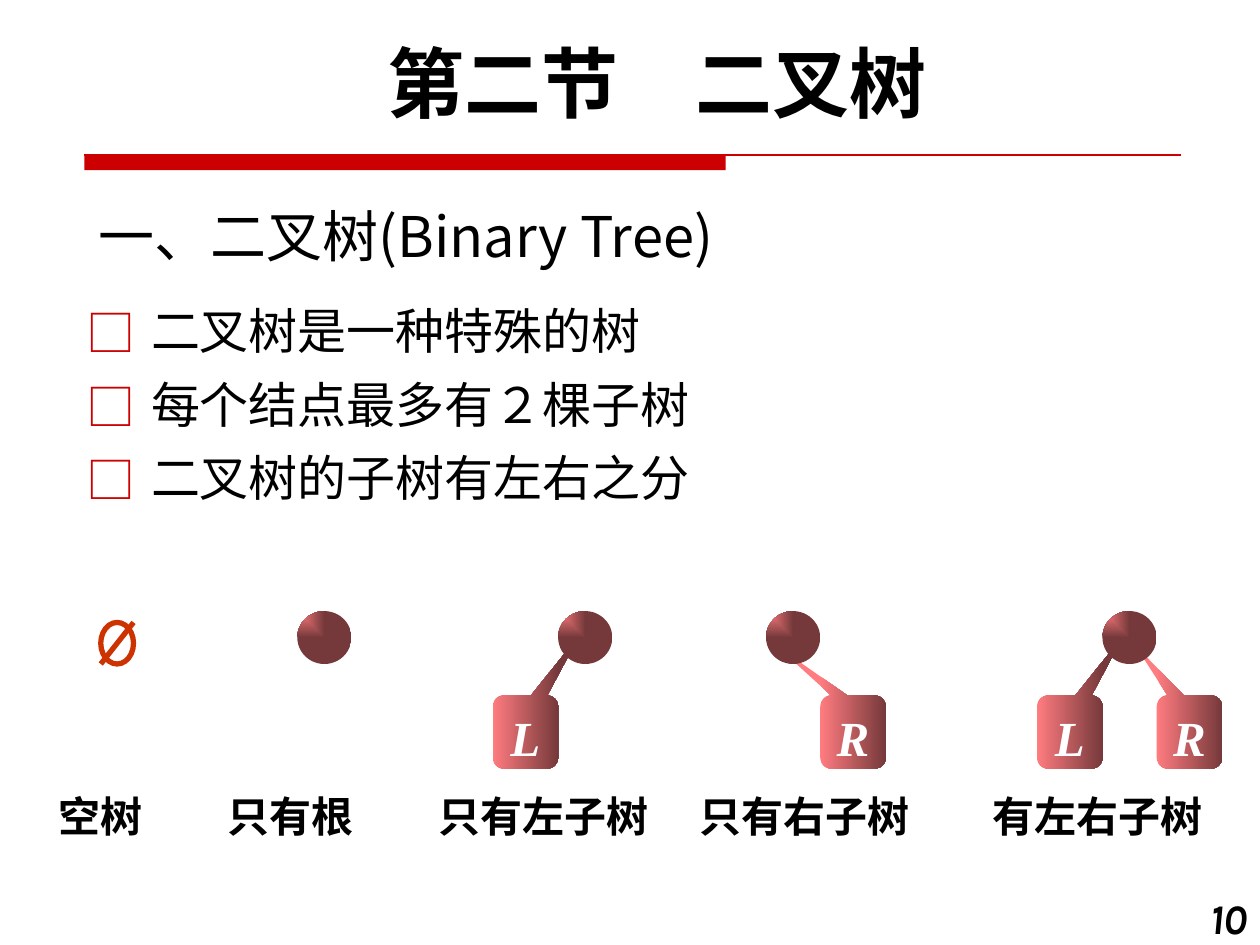
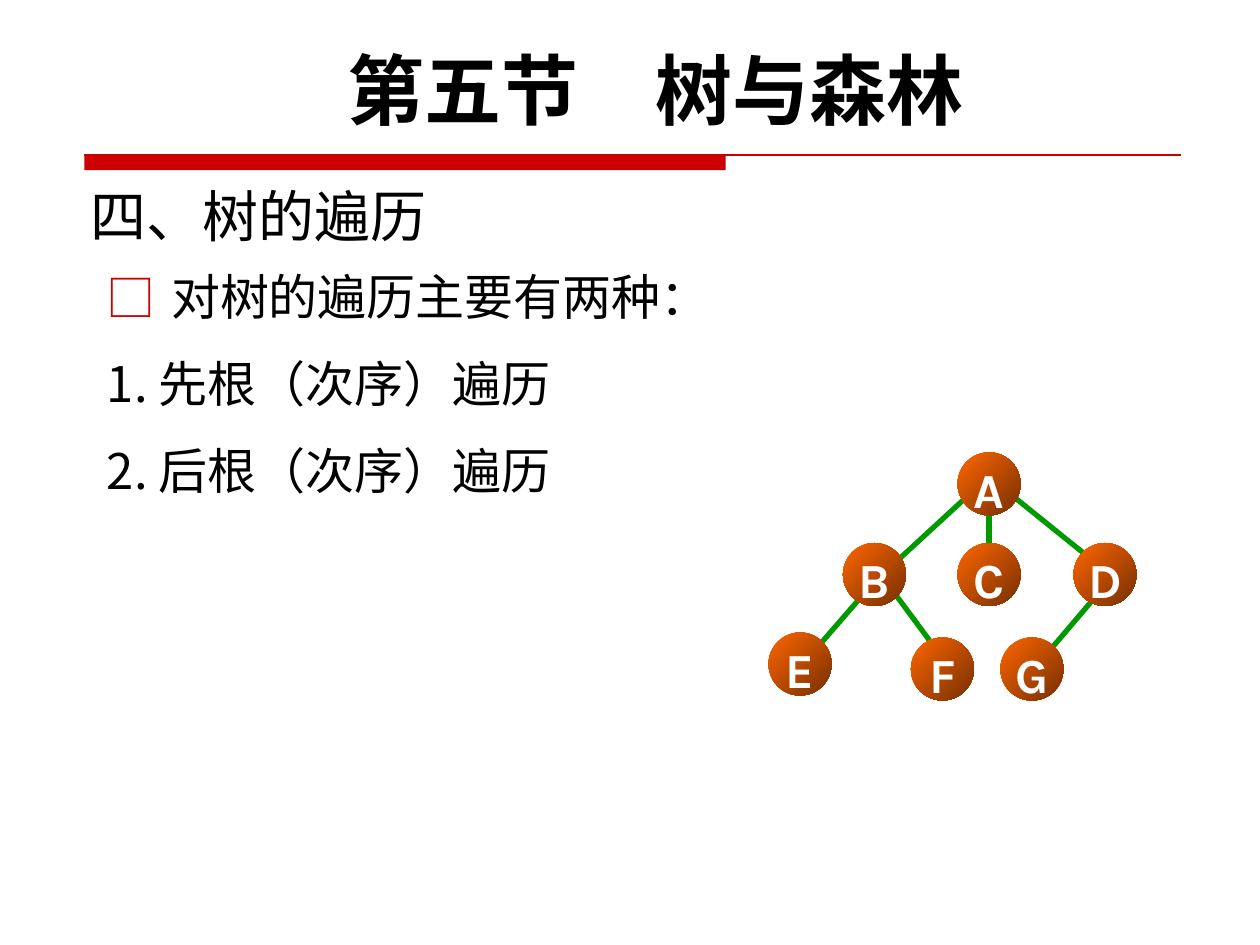
"""Two lecture slides on binary trees and on tree traversal."""
import pptx
import pptx.dml.color
import pptx.enum.dml
import pptx.enum.shapes
import pptx.enum.text
import pptx.oxml
import pptx.oxml.ns
import pptx.util
from lxml import etree

COLUMNS, ROWS = 100, 75
WIDTH, HEIGHT = pptx.util.Inches(10), pptx.util.Inches(7.5)

BLACK, WHITE, RED = "000000", "FFFFFF", "CC0000"
EMPTY_RED, EDGE_GREEN = "CC3300", "009900"
PINK, MAROON = "FF7C80", "76393B"
ORANGE, BROWN = "FF6600", "762F00"
BODY_FONT, HEAD_FONT, SUBTREE_FONT = "Noto Sans CJK SC", "Karla", "Times New Roman"

SHAPES = pptx.enum.shapes.MSO_SHAPE
ALIGN = pptx.enum.text.PP_ALIGN
ANCHOR = pptx.enum.text.MSO_ANCHOR


def color(hex_value):
    """Turn a hex string into a colour."""
    return pptx.dml.color.RGBColor.from_string(hex_value)


def across(columns):
    """Length of a number of grid columns."""
    return int(WIDTH * columns / COLUMNS)


def down(rows):
    """Length of a number of grid rows."""
    return int(HEIGHT * rows / ROWS)


def place(left, top, width, height):
    """Turn a grid cell range into slide lengths."""
    return across(left), down(top), across(width), down(height)


def add_xml(parent, tag, **attributes):
    """Append a DrawingML element."""
    return etree.SubElement(parent, pptx.oxml.ns.qn(tag), attributes)


def set_bullet(properties, bulleted):
    """Give a paragraph a hollow red square, or no bullet."""
    if not bulleted:
        add_xml(properties, "a:buNone")
        return
    add_xml(add_xml(properties, "a:buClr"), "a:srgbClr", val=RED)
    add_xml(properties, "a:buFont", typeface=BODY_FONT)
    add_xml(properties, "a:buChar", char="□")


def set_tabs(properties, tabs):
    """Give a paragraph left tab stops at grid columns."""
    stops = add_xml(properties, "a:tabLst")
    for stop in tabs:
        add_xml(stops, "a:tab", pos=str(across(stop)), algn="l")


def write(frame, lines, size, font=BODY_FONT, ink=BLACK, bold=False, italic=False,
          align=ALIGN.LEFT, anchor=ANCHOR.TOP, wrap=True, side=1, leading=1.2,
          gap=0, hanging=0, bullets=0, tabs=()):
    """Fill a text frame with paragraphs in one format."""
    frame.word_wrap = wrap
    frame.vertical_anchor = anchor
    frame.margin_left = frame.margin_right = across(side)
    frame.margin_top = pptx.util.Pt(3.6 + size / 10)
    frame.margin_bottom = pptx.util.Pt(max(0, 3.6 - size / 10))
    for index, line in enumerate(lines):
        paragraph = frame.paragraphs[0] if index == 0 else frame.add_paragraph()
        properties = paragraph._p.get_or_add_pPr()
        if hanging:
            properties.set("marL", str(across(hanging)))
            properties.set("indent", str(-across(hanging)))
            set_bullet(properties, index < bullets)
        if tabs:
            set_tabs(properties, tabs)
        paragraph.alignment = align
        paragraph.line_spacing = pptx.util.Pt(size * leading)
        paragraph.space_before = pptx.util.Pt(size * gap if index else 0)
        run = paragraph.add_run()
        run.text = line
        run.font.size = pptx.util.Pt(size)
        run.font.name = font
        run.font.bold, run.font.italic = bold, italic
        run.font.color.rgb = color(ink)
        add_xml(run._r.get_or_add_rPr(), "a:ea", typeface=font)


def text(slide, cell, *lines, **style):
    """Add a text box."""
    write(slide.shapes.add_textbox(*place(*cell)).text_frame, lines, **style)


def shape(slide, kind, cell, fill=None, outline=None):
    """Add a preset shape with a flat fill, an outline, or neither."""
    item = slide.shapes.add_shape(kind, *place(*cell))
    item.shadow.inherit = False
    if fill:
        item.fill.solid()
        item.fill.fore_color.rgb = color(fill)
    else:
        item.fill.background()
    if outline:
        item.line.color.rgb = color(outline)
        item.line.width = pptx.util.Pt(3)
    else:
        item.line.fill.background()
    return item


def shade(item, start, end, angle=0, from_corner=False):
    """Fill a shape with a gradient, straight or spreading from a corner."""
    item.fill.gradient()
    for stop, tone in zip(item.fill.gradient_stops, (start, end)):
        stop.color.rgb = color(tone)
    item.fill.gradient_angle = -angle % 360
    if from_corner:
        gradient = item._element.spPr.find(pptx.oxml.ns.qn("a:gradFill"))
        gradient.remove(gradient.find(pptx.oxml.ns.qn("a:lin")))
        spread = add_xml(gradient, "a:path", path="rect")
        add_xml(spread, "a:fillToRect", r="100000", b="100000")


def line(slide, start, end, ink, weight=3):
    """Add a straight line between two grid points."""
    stroke = slide.shapes.add_connector(
        pptx.enum.shapes.MSO_CONNECTOR.STRAIGHT,
        across(start[0]), down(start[1]), across(end[0]), down(end[1]))
    stroke.line.color.rgb = color(ink)
    stroke.line.width = pptx.util.Pt(weight)
    add_xml(stroke._element.spPr, "a:effectLst")


def lecture_slide(deck, section, section_cell, topic, topic_cell):
    """Add a slide with the red band, section title and topic."""
    slide = deck.slides.add_slide(deck.slide_layouts[6])
    shape(slide, SHAPES.RECTANGLE, (6.7, 12.3, 50.9, 1.2), RED)
    line(slide, (6.7, 12.3), (93.7, 12.3), RED, 0.75)
    text(slide, section_cell, section, size=44, font=HEAD_FONT, bold=True,
         align=ALIGN.CENTER)
    text(slide, topic_cell, topic, size=32, anchor=ANCHOR.BOTTOM)
    return slide


def root(slide, left):
    """Draw the root ball of a small binary tree."""
    ball = shape(slide, SHAPES.OVAL, (left, 48.5, 4.3, 4.2))
    shade(ball, PINK, MAROON, from_corner=True)


def subtree(slide, letter, left, pointer):
    """Draw a lettered subtree that points at its root."""
    block = shape(slide, SHAPES.ROUNDED_RECTANGULAR_CALLOUT, (left, 55.2, 5.2, 5.8))
    for index, value in enumerate((*pointer, 0.17)):
        block.adjustments[index] = value
    shade(block, PINK, MAROON)
    write(block.text_frame, [letter], size=28, font=SUBTREE_FONT, ink=WHITE, bold=True,
          italic=True, align=ALIGN.CENTER, anchor=ANCHOR.MIDDLE, wrap=False, side=0)


def empty_tree(slide):
    """Draw the empty-set sign."""
    shape(slide, SHAPES.OVAL, (8, 49.4, 2.6, 3.3), outline=EMPTY_RED)
    line(slide, (10.6, 49.4), (8, 52.7), EMPTY_RED)


def node(slide, letter, left, top):
    """Draw a lettered tree node."""
    ball = shape(slide, SHAPES.OVAL, (left, top, 5, 5))
    shade(ball, ORANGE, BROWN, angle=45)
    write(ball.text_frame, [letter], size=28, font=HEAD_FONT, ink=WHITE, bold=True,
          align=ALIGN.CENTER, anchor=ANCHOR.MIDDLE, wrap=False, side=0)


def binary_tree_slide(deck):
    """Build the slide on the five forms of a binary tree."""
    slide = lecture_slide(deck, "第二节\u3000二叉树".replace("\u3000", "　"),
                          (5.9, 1.7, 92.5, 8.4),
                          "一、二叉树(Binary Tree)", (6.8, 13.9, 62.5, 7.5))
    text(slide, (5.9, 23, 95.8, 44.2), "二叉树是一种特殊的树", "每个结点最多有２棵子树",
         "二叉树的子树有左右之分", size=28, gap=0.3, hanging=5.1, bullets=3)
    to_right_root, to_left_root = (0.82, -1.32), (-0.83, -1.19)
    subtree(slide, "R", 91.8, to_left_root)
    subtree(slide, "R", 65.1, (-1.18, -1.19))
    for left in (82.3, 39.1):
        subtree(slide, "L", left, to_right_root)
    empty_tree(slide)
    for left in (23.6, 44.3, 60.8, 87.5):
        root(slide, left)
    forms = ("空树", "只有根", "只有左子树", "只有右子树", "有左右子树")
    text(slide, (3.7, 61.9, 96.7, 5.1), "\t".join(forms), size=24, font=HEAD_FONT,
         bold=True, tabs=(13.4, 30.1, 50.8, 74.1))
    text(slide, (93.3, 70, 6.7, 5), "10", size=24, font=HEAD_FONT, bold=True,
         italic=True, align=ALIGN.RIGHT)


def traversal_slide(deck):
    """Build the slide on traversing a tree."""
    slide = lecture_slide(deck, "第五节　树与森林", (5.8, 2.3, 92.5, 8.4),
                          "四、树的遍历", (6.2, 12.3, 62.5, 7.5))
    text(slide, (7.5, 20.7, 95.8, 45), "对树的遍历主要有两种：", "1. 先根（次序）遍历",
         "2. 后根（次序）遍历", size=28, leading=1.08, gap=0.7, hanging=5.1, bullets=1)
    edges = (((79.8, 38.9), (86, 43.9)), ((77.3, 38.9), (71, 44.7)),
             ((78.5, 40.7), (78.5, 43.2)), ((69.8, 45.7), (65.2, 51)),
             ((70.2, 46), (73.9, 51)), ((88.1, 46), (83.5, 51.4)))
    for parent, child in edges:
        line(slide, parent, child, EDGE_GREEN)
    nodes = {"A": (76, 35.9), "B": (66.9, 43.1), "C": (76, 43.1), "D": (85.2, 43.1),
             "E": (61, 50.2), "F": (72.3, 50.6), "G": (79.4, 50.6)}
    for letter, corner in nodes.items():
        node(slide, letter, *corner)


def main():
    """Build and save the deck."""
    deck = pptx.Presentation()
    deck.slide_width, deck.slide_height = WIDTH, HEIGHT
    binary_tree_slide(deck)
    traversal_slide(deck)
    deck.save("out.pptx")


if __name__ == "__main__":
    main()
